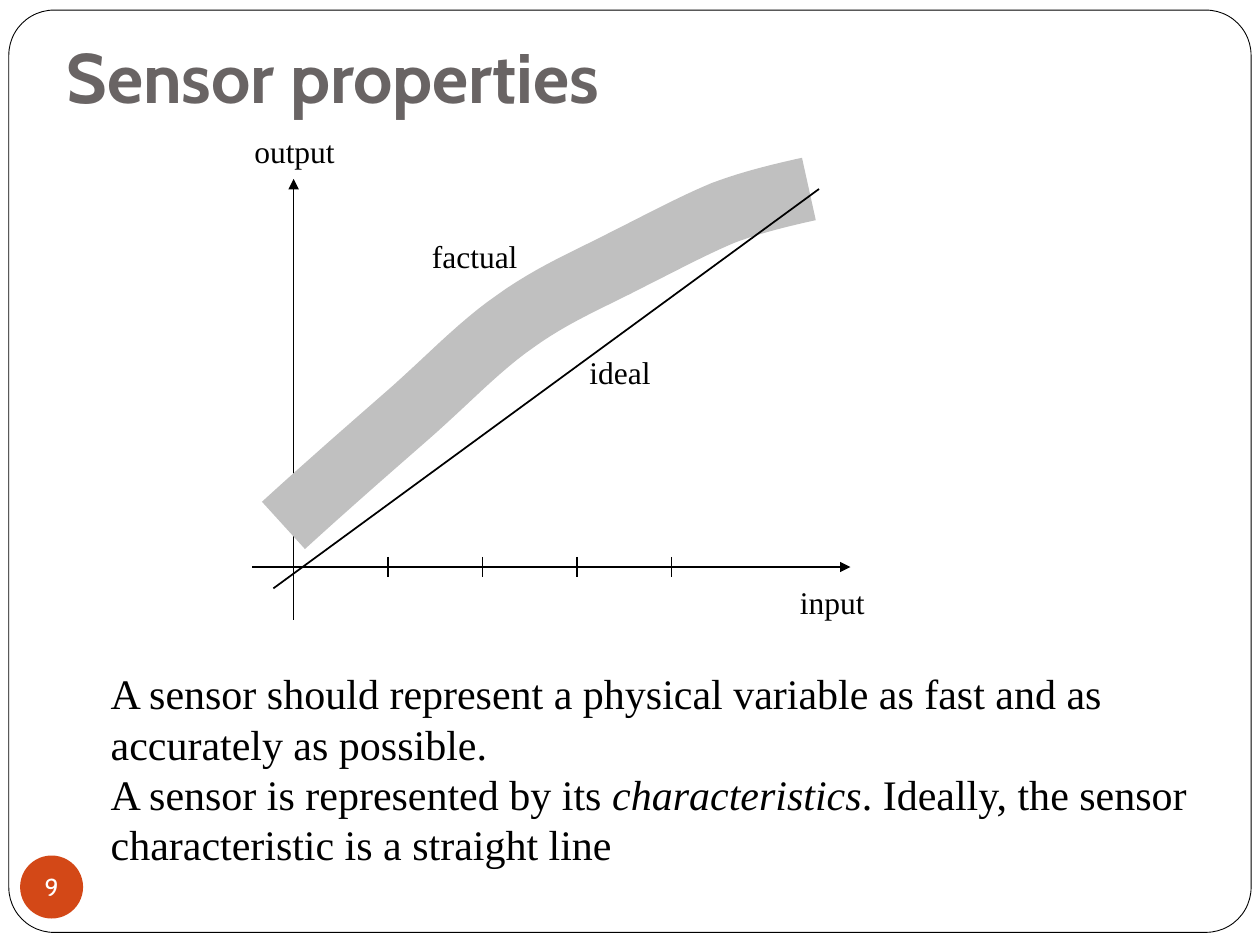
from lxml import etree
from pptx import Presentation
from pptx.dml.color import RGBColor
from pptx.enum.shapes import MSO_CONNECTOR, MSO_SHAPE
from pptx.enum.text import MSO_ANCHOR, MSO_AUTO_SIZE, PP_ALIGN
from pptx.oxml.ns import qn
from pptx.util import Inches, Pt

STRAIGHT = MSO_CONNECTOR.STRAIGHT
ROUNDED, OVAL = MSO_SHAPE.ROUNDED_RECTANGLE, MSO_SHAPE.OVAL
LEFT, CENTER = PP_ALIGN.LEFT, PP_ALIGN.CENTER
TOP, MIDDLE, BOTTOM = MSO_ANCHOR.TOP, MSO_ANCHOR.MIDDLE, MSO_ANCHOR.BOTTOM
NO_AUTOFIT = MSO_AUTO_SIZE.NONE
STEPS = 12


def write(box, paragraphs, font="Times New Roman", size=18, color="000000",
          bold=False, align=LEFT, anchor=TOP, wrap=False,
          margins=(0.1, 0.05, 0.1, 0.05)):
    """Fill a shape with paragraphs, each a list of (text, italic) spans."""
    frame = box.text_frame
    frame.auto_size = NO_AUTOFIT
    frame.word_wrap = wrap
    frame.vertical_anchor = anchor
    (frame.margin_left, frame.margin_top,
     frame.margin_right, frame.margin_bottom) = map(Inches, margins)
    for index, spans in enumerate(paragraphs):
        para = frame.add_paragraph() if index else frame.paragraphs[0]
        para.alignment = align
        for text, italic in spans:
            span = para.add_run()
            span.text = text
            span.font.name, span.font.size = font, Pt(size)
            span.font.bold, span.font.italic = bold, italic
            span.font.color.rgb = RGBColor.from_string(color)


def draw_line(start, end, width=0.75, arrow=False):
    """Draw a black straight line, with an arrowhead at its end if asked."""
    line = page.shapes.add_connector(STRAIGHT, *map(Inches, start + end))
    line.line.color.rgb = RGBColor.from_string("000000")
    line.line.width = Pt(width)
    properties = line.element.spPr
    if arrow:
        outline = properties.find(qn("a:ln"))
        etree.SubElement(outline, qn("a:tailEnd"), type="triangle")
    etree.SubElement(properties, qn("a:effectLst"))


deck = Presentation()
deck.slide_width, deck.slide_height = Inches(10), Inches(7.5)
page = deck.slides.add_slide(deck.slide_layouts[5])

# Frame behind the title
title = page.shapes.title
border = page.shapes.add_shape(ROUNDED, *map(Inches, (0.07, 0.08, 9.86, 7.32)))
border.adjustments[0] = 0.049
border.shadow.inherit = False
border.fill.solid()
border.fill.fore_color.rgb = RGBColor.from_string("FFFFFF")
border.line.color.rgb = RGBColor.from_string("000000")
border.line.width = Pt(0.5)
title.element.addprevious(border.element)

title.left, title.top, title.width, title.height = map(
    Inches, (0.43, 0.25, 6.23, 0.78))
write(title, [[("Sensor properties", False)]], font="Cabin", size=40,
      color="696464", bold=True, anchor=BOTTOM, wrap=True,
      margins=(0.1, 0.05, 0.1, 0.1))

summary = page.shapes.add_textbox(*map(Inches, (0.78, 5.25, 8.75, 1.72)))
write(summary, [
    [("A sensor should represent a physical variable as fast and as "
      "accurately as possible.", False)],
    [("A sensor is represented by its ", False),
     ("characteristics", True),
     (". Ideally, the sensor characteristic is a straight line", False)],
], size=24, wrap=True)

# Axes and ticks
draw_line((2, 4.5), (6.75, 4.5), arrow=True)
draw_line((2.33, 4.92), (2.33, 1.42), arrow=True)
for tick in range(4):
    x = 3.08 + 0.75 * tick
    draw_line((x, 4.42), (x, 4.58))

# Factual characteristic: cubic curves sampled into short segments
knots = [
    (2.25, 4.17), (2.58, 3.87), (2.91, 3.58), (3.22, 3.31),
    (3.53, 3.04), (3.8, 2.75), (4.09, 2.55),
    (4.38, 2.34), (4.69, 2.21), (4.96, 2.07),
    (5.24, 1.93), (5.5, 1.79), (5.74, 1.69),
    (5.98, 1.6), (6.2, 1.55), (6.42, 1.5),
]
points = []
for first in range(0, len(knots) - 1, 3):
    controls = knots[first:first + 4]
    for step in range(1, STEPS + 1):
        t = step / STEPS
        weights = ((1 - t) ** 3, 3 * t * (1 - t) ** 2, 3 * t ** 2 * (1 - t), t ** 3)
        points.append(tuple(
            Inches(sum(w * knot[axis] for w, knot in zip(weights, controls)))
            for axis in (0, 1)))
builder = page.shapes.build_freeform(*map(Inches, knots[0]))
builder.add_line_segments(points, close=False)
factual = builder.convert_to_shape()
factual.shadow.inherit = False
factual.fill.background()
factual.line.color.rgb = RGBColor.from_string("C0C0C0")
factual.line.width = Pt(36.5)

# Ideal characteristic
draw_line((2.17, 4.67), (6.5, 1.5), width=1)

labels = [
    ("input", 6.25, 4.58, 0.74),
    ("output", 1.92, 1, 0.9),
    ("ideal", 4.58, 2.75, 0.73),
    ("factual", 3.33, 1.83, 0.94),
]
for text, left, top, width in labels:
    label = page.shapes.add_textbox(*map(Inches, (left, top, width, 0.4)))
    write(label, [[(text, False)]])

badge = page.shapes.add_shape(OVAL, *map(Inches, (0.16, 6.79, 0.5, 0.5)))
badge.shadow.inherit = False
badge.fill.solid()
badge.fill.fore_color.rgb = RGBColor.from_string("D34817")
badge.line.fill.background()
write(badge, [[("9", False)]], font="Cabin", size=14, color="FFFFFF",
      align=CENTER, anchor=MIDDLE, margins=(0, 0, 0, 0))

deck.save("out.pptx")
